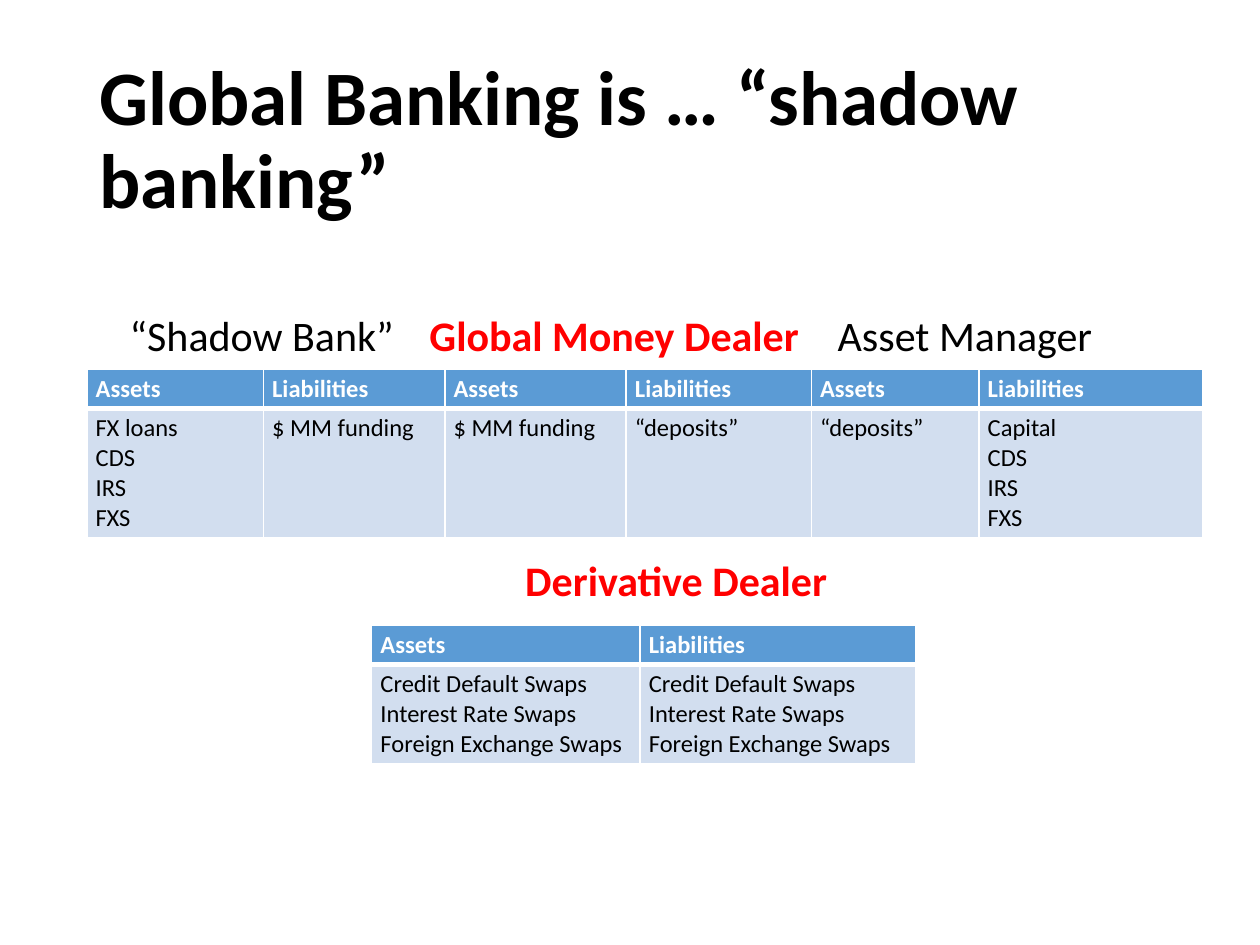
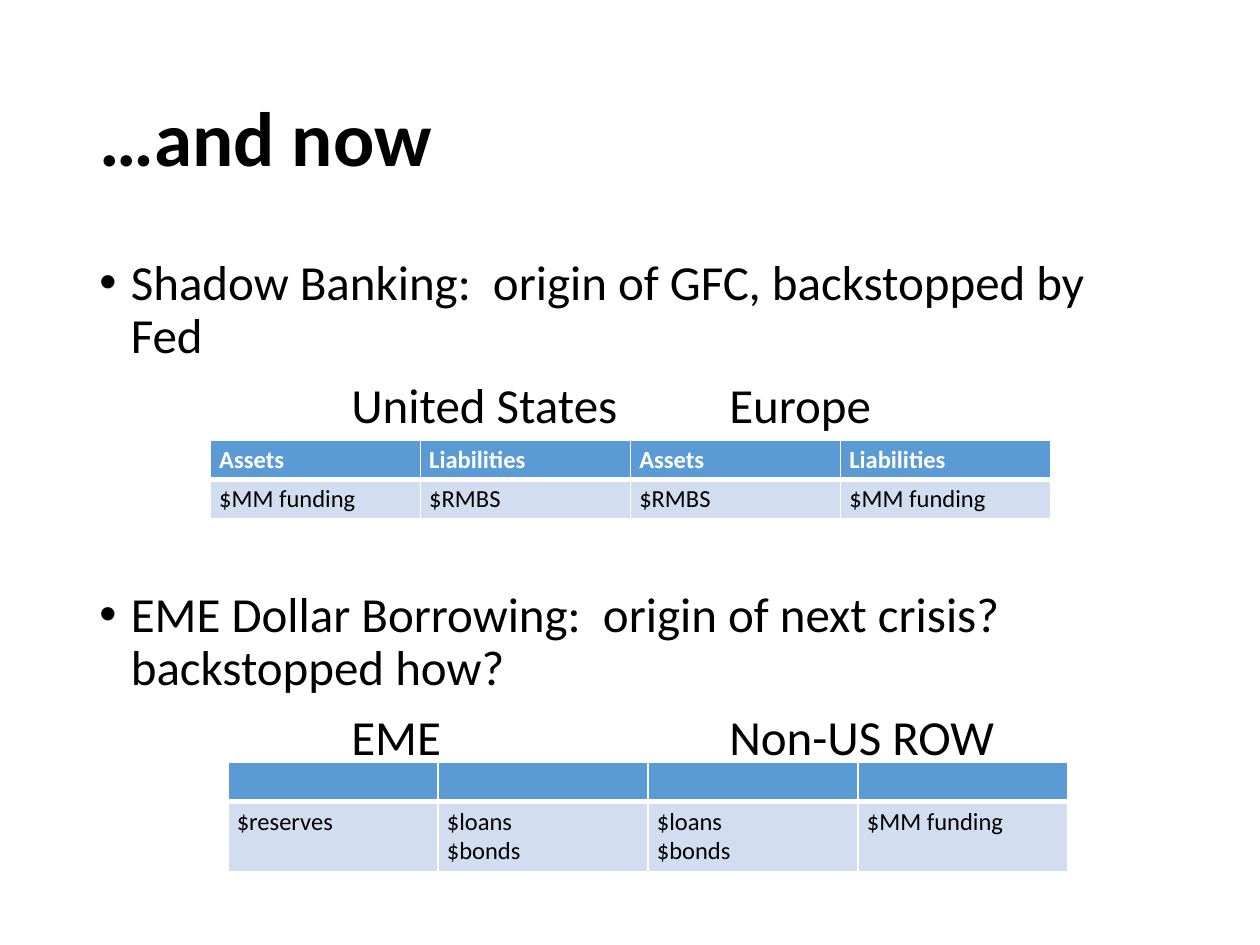
from dataclasses import dataclass

from lxml import etree
from pptx import Presentation
from pptx.dml.color import RGBColor
from pptx.enum.text import MSO_ANCHOR
from pptx.oxml.ns import qn
from pptx.util import Emu, Inches, Pt

MIDDLE, TOP = MSO_ANCHOR.MIDDLE, MSO_ANCHOR.TOP
WIDTH, HEIGHT = Inches(10), Inches(7.5)
COL, ROW = WIDTH / 100, HEIGHT / 75  # grid of 100 columns by 75 rows


@dataclass(frozen=True)
class Theme:
    font: str = "Calibri"
    ink: str = "000000"
    paper: str = "FFFFFF"
    alert: str = "FF0000"
    head: str = "5B9BD5"
    band: str = "D2DEEF"
    title: int = 44
    body: int = 28
    label: int = 24
    cell: int = 14
    thin: int = 1
    thick: int = 3
    leading: float = 0.9


THEME = Theme()


@dataclass(frozen=True)
class Box:
    left: float
    top: float
    width: float
    height: float


@dataclass(frozen=True)
class Span:
    text: str
    color: str = THEME.ink
    bold: bool = False


@dataclass(frozen=True)
class Line:
    spans: tuple[Span, ...]
    size: int = THEME.body
    before: int = 10
    bullet: bool = False
    tabs: tuple[float, ...] = ()


@dataclass(frozen=True)
class Sheet:
    """A balance sheet: one header row over one row of stacked entries."""
    left: float
    top: float
    cols: tuple[float, ...]
    heads: tuple[str, ...]
    items: tuple[str, ...]


@dataclass(frozen=True)
class Page:
    title: str
    lines: tuple[Line, ...]
    sheets: tuple[Sheet, ...]
    inset: float = 0.5


TITLE = Box(6.9, 4, 86.2, 14.5)
BODY = Box(6.9, 20, 86.2, 47.6)
SIDES = ("Assets", "Liabilities")
SWAPS = "Credit Default Swaps\nInterest Rate Swaps\nForeign Exchange Swaps"
QUARTERS = (16.67,) * 4
PAIR = (20, 50)


def across(n: float) -> Emu:
    return Emu(round(n * COL))


def down(n: float) -> Emu:
    return Emu(round(n * ROW))


def plain(text: str, **form) -> Line:
    return Line((Span(text),), **form)


PAGES = (
    Page(
        "Global Banking is … “shadow banking”",
        (
            Line((Span("\t“Shadow Bank”"),
                  Span("\tGlobal Money Dealer", THEME.alert, True),
                  Span("\tAsset Manager")),
                 size=THEME.label, tabs=(2.4, 26.2, 58.6)),
            Line((Span("\tDerivative Dealer", THEME.alert, True),),
                 size=THEME.label, before=114, tabs=(33.8,)),
        ),
        (
            Sheet(6.9, 29.3, (14, 14.4, 14.4, 14.7, 13.3, 17.8), SIDES * 3,
                  ("FX loans\nCDS\nIRS\nFXS", "$ MM funding", "$ MM funding",
                   "“deposits”", "“deposits”", "Capital\nCDS\nIRS\nFXS")),
            Sheet(29.5, 49.6, (21.3, 21.9), SIDES, (SWAPS, SWAPS)),
        ),
        inset=5,
    ),
    Page(
        "…and now",
        (
            plain("Shadow Banking:  origin of GFC, backstopped by Fed",
                  bullet=True),
            plain("\tUnited States\tEurope", tabs=PAIR),
            plain("EME Dollar Borrowing:  origin of next crisis?  "
                  "backstopped how?", before=89, bullet=True),
            plain("\tEME\tNon-US ROW", tabs=PAIR),
        ),
        (
            Sheet(18.1, 60.5, QUARTERS, ("",) * 4,
                  ("$reserves", "$loans\n$bonds", "$loans\n$bonds",
                   "$MM funding")),
            Sheet(16.7, 34.9, QUARTERS, SIDES * 2,
                  ("$MM funding", "$RMBS", "$RMBS", "$MM funding")),
        ),
    ),
)


def write(para, text: str, *, size: int, color: str = THEME.ink,
          bold: bool = False) -> None:
    """Add a run; an empty text only sets the height of its line."""
    if not text:
        para._p.get_or_add_endParaRPr().set("sz", str(size * 100))
        return
    run = para.add_run()
    run.text = text
    font = run.font
    font.name, font.size, font.bold = THEME.font, Pt(size), bold
    font.color.rgb = RGBColor.from_string(color)


def shape_line(para, line: Line) -> None:
    """Set spacing, bullet and tab stops of a paragraph."""
    para.line_spacing = THEME.leading
    para.space_before = Pt(line.before)
    props = para._p.get_or_add_pPr()
    if line.bullet:
        props.set("marL", str(across(2.5)))
        props.set("indent", str(across(-2.5)))
        etree.SubElement(props, qn("a:buFont"), typeface="Arial")
        etree.SubElement(props, qn("a:buChar"), char="•")
    if line.tabs:
        stops = etree.SubElement(props, qn("a:tabLst"))
        for stop in line.tabs:
            etree.SubElement(stops, qn("a:tab"), pos=str(across(stop)),
                             algn="l")


def add_text(slide, box: Box, lines: tuple[Line, ...], *, anchor=TOP,
             inset: float = 0.5) -> None:
    shape = slide.shapes.add_textbox(across(box.left), down(box.top),
                                     across(box.width), down(box.height))
    frame = shape.text_frame
    frame.word_wrap = True
    frame.vertical_anchor = anchor
    frame.margin_top = down(inset)
    for i, line in enumerate(lines):
        para = frame.add_paragraph() if i else frame.paragraphs[0]
        shape_line(para, line)
        for span in line.spans:
            write(para, span.text, size=line.size, color=span.color,
                  bold=span.bold)


def add_edges(cell, top: int, base: int) -> None:
    """Draw the four cell borders; must run before the fill is set."""
    props = cell._tc.get_or_add_tcPr()
    widths = {"L": THEME.thin, "R": THEME.thin, "T": top, "B": base}
    for side, width in widths.items():
        edge = etree.SubElement(props, qn(f"a:ln{side}"), w=str(Pt(width)))
        fill = etree.SubElement(edge, qn("a:solidFill"))
        etree.SubElement(fill, qn("a:srgbClr"), val=THEME.paper)


def fill_cell(cell, text: str, head: bool) -> None:
    cell.margin_left = cell.margin_right = across(0.7)
    cell.margin_top = cell.margin_bottom = down(0.4)
    thin, thick = THEME.thin, THEME.thick
    add_edges(cell, *((thin, thick) if head else (thick, thin)))
    cell.fill.solid()
    cell.fill.fore_color.rgb = RGBColor.from_string(
        THEME.head if head else THEME.band)
    frame = cell.text_frame
    for i, entry in enumerate(text.split("\n")):
        para = frame.add_paragraph() if i else frame.paragraphs[0]
        write(para, entry, size=THEME.cell, bold=head,
              color=THEME.paper if head else THEME.ink)


def add_sheet(slide, sheet: Sheet) -> None:
    depth = 1 + max(item.count("\n") for item in sheet.items)
    rows = (3.1, 2.37 * depth + 0.8)
    table = slide.shapes.add_table(
        len(rows), len(sheet.cols), across(sheet.left), down(sheet.top),
        across(sum(sheet.cols)), down(sum(rows))).table
    table.horz_banding = False
    for col, width in zip(table.columns, sheet.cols):
        col.width = across(width)
    for r, texts in enumerate((sheet.heads, sheet.items)):
        table.rows[r].height = down(rows[r])
        for c, text in enumerate(texts):
            fill_cell(table.cell(r, c), text, head=r == 0)


def add_page(deck, page: Page) -> None:
    slide = deck.slides.add_slide(deck.slide_layouts[6])
    title = Line((Span(page.title, bold=True),), size=THEME.title, before=0)
    add_text(slide, TITLE, (title,), anchor=MIDDLE)
    add_text(slide, BODY, page.lines, inset=page.inset)
    for sheet in page.sheets:
        add_sheet(slide, sheet)


def main() -> None:
    deck = Presentation()
    deck.slide_width, deck.slide_height = WIDTH, HEIGHT
    for page in PAGES:
        add_page(deck, page)
    deck.save("out.pptx")


if __name__ == "__main__":
    main()
